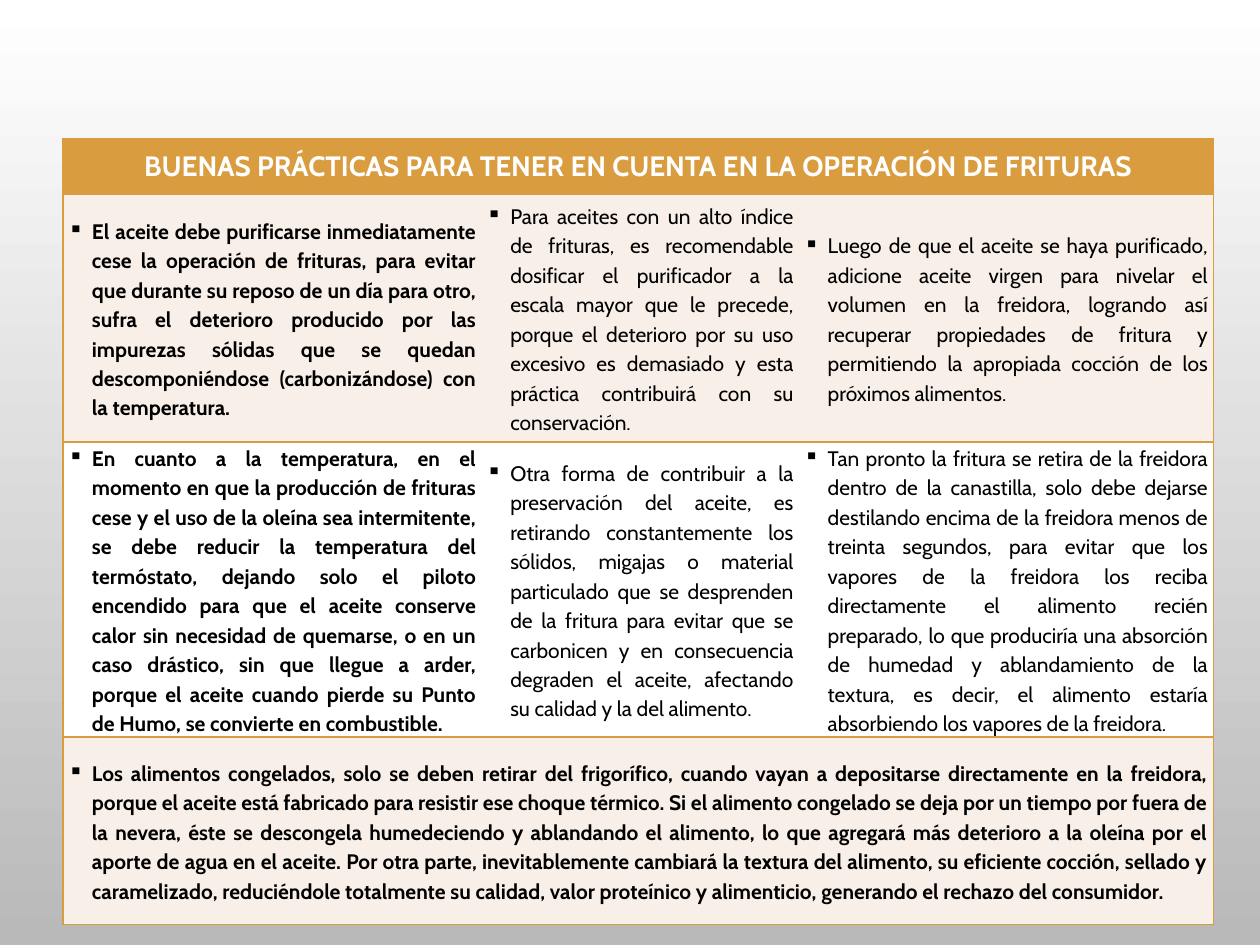
import lxml.etree
import pptx
import pptx.dml.color
import pptx.enum.text
import pptx.oxml.ns
import pptx.util

ALIGN = pptx.enum.text.PP_ALIGN
ORANGE, CREAM, WHITE, BLACK = "D99C3F", "F8EFE8", "FFFFFF", "000000"
SLIDE_WIDTH, SLIDE_HEIGHT = 10, 7.5
TABLE_BOX = (0.5, 1.1, 9.13, 6.24)
COLUMN_WIDTHS = (3.32, 2.52, 3.29)
ROW_HEIGHTS = (0.44, 1.97, 2.34, 1.49)
INDENT = 0.19

TITLE = "BUENAS PRÁCTICAS PARA TENER EN CUENTA EN LA OPERACIÓN DE FRITURAS"
PRACTICES = (
    (
        "El aceite debe purificarse inmediatamente cese la operación de frituras, para evitar que "
        "durante su reposo de un día para otro, sufra el deterioro producido por las impurezas sólidas "
        "que se quedan descomponiéndose (carbonizándose) con la temperatura.",
        "Para aceites con un alto índice de frituras, es recomendable dosificar el purificador a la "
        "escala mayor que le precede, porque el deterioro por su uso excesivo es demasiado y esta "
        "práctica contribuirá con su conservación.",
        "Luego de que el aceite se haya purificado, adicione aceite virgen para nivelar el volumen en "
        "la freidora, logrando así recuperar propiedades de fritura y permitiendo la apropiada cocción "
        "de los próximos alimentos.",
    ),
    (
        "En cuanto a la temperatura, en el momento en que la producción de frituras cese y el uso de la "
        "oleína sea intermitente, se debe reducir la temperatura del termóstato, dejando solo el piloto "
        "encendido para que el aceite conserve calor sin necesidad de quemarse, o en un caso drástico, "
        "sin que llegue a arder, porque el aceite cuando pierde su Punto de Humo, se convierte en "
        "combustible.",
        "Otra forma de contribuir a la preservación del aceite, es retirando constantemente los sólidos, "
        "migajas o material particulado que se desprenden de la fritura para evitar que se carbonicen y "
        "en consecuencia degraden el aceite, afectando su calidad y la del alimento.",
        "Tan pronto la fritura se retira de la freidora dentro de la canastilla, solo debe dejarse "
        "destilando encima de la freidora menos de treinta segundos, para evitar que los vapores de la "
        "freidora los reciba directamente el alimento recién preparado, lo que produciría una absorción "
        "de humedad y ablandamiento de la textura, es decir, el alimento estaría absorbiendo los vapores "
        "de la freidora.",
    ),
)
FROZEN_FOOD = (
    "Los alimentos congelados, solo se deben retirar del frigorífico, cuando vayan a depositarse "
    "directamente en la freidora, porque el aceite está fabricado para resistir ese choque térmico. Si "
    "el alimento congelado se deja por un tiempo por fuera de la nevera, éste se descongela "
    "humedeciendo y ablandando el alimento, lo que agregará más deterioro a la oleína por el aporte de "
    "agua en el aceite. Por otra parte, inevitablemente cambiará la textura del alimento, su eficiente "
    "cocción, sellado y caramelizado, reduciéndole totalmente su calidad, valor proteínico y "
    "alimenticio, generando el rechazo del consumidor."
)


def color(value):
    """Turn a hex string into a colour."""
    return pptx.dml.color.RGBColor.from_string(value)


def add_element(parent, tag, **attributes):
    """Append a drawing element to its parent."""
    return lxml.etree.SubElement(parent, pptx.oxml.ns.qn(tag), attributes)


def write_text(cell, text, size=12, bold=False, fill=BLACK, align=ALIGN.JUSTIFY, bullet=None):
    """Write one formatted paragraph into a cell."""
    paragraph = cell.text_frame.paragraphs[0]
    paragraph.alignment = align
    if bullet:
        properties = paragraph._p.get_or_add_pPr()
        properties.set("marL", str(pptx.util.Inches(INDENT)))
        properties.set("indent", str(-pptx.util.Inches(INDENT)))
        add_element(properties, "a:buChar", char=bullet)
        paragraph.line_spacing = 1.15
        paragraph.space_after = pptx.util.Pt(10)
    run = paragraph.add_run()
    run.text = text
    run.font.name = "Cabin"
    run.font.size = pptx.util.Pt(size)
    run.font.bold = bold
    run.font.color.rgb = color(fill)


def format_cell(cell, fill, left, right):
    """Set the margins, outer borders and fill of a cell."""
    cell.margin_left = cell.margin_right = pptx.util.Inches(0.04)
    cell.margin_top = cell.margin_bottom = 0
    cell.vertical_anchor = pptx.enum.text.MSO_ANCHOR.MIDDLE
    properties = cell._tc.get_or_add_tcPr()
    for side, visible in (("L", left), ("R", right), ("T", True), ("B", True)):
        line = add_element(properties, f"a:ln{side}", w=str(pptx.util.Pt(1)))
        if visible:
            add_element(add_element(line, "a:solidFill"), "a:srgbClr", val=ORANGE)
        else:
            add_element(line, "a:noFill")
    cell.fill.solid()
    cell.fill.fore_color.rgb = color(fill)


def add_practices_table(slide, box):
    """Place the table of good frying practices in its box."""
    lengths = [pptx.util.Inches(length) for length in box]
    frame = slide.shapes.add_table(len(ROW_HEIGHTS), len(COLUMN_WIDTHS), *lengths)
    table = frame.table
    table.first_row = table.horz_banding = False
    for column, width in zip(table.columns, COLUMN_WIDTHS):
        column.width = pptx.util.Inches(box[2] * width / sum(COLUMN_WIDTHS))
    for row, height in zip(table.rows, ROW_HEIGHTS):
        row.height = pptx.util.Inches(box[3] * height / sum(ROW_HEIGHTS))

    last_row, last_column = len(ROW_HEIGHTS) - 1, len(COLUMN_WIDTHS) - 1
    for row in (0, last_row):
        table.cell(row, 0).merge(table.cell(row, last_column))
    for row, fill in enumerate((ORANGE, CREAM, WHITE, CREAM)):
        for column in range(last_column + 1):
            cell = table.cell(row, column)
            right = column == last_column or cell.is_merge_origin
            format_cell(cell, fill, column == 0, right)

    write_text(table.cell(0, 0), TITLE, size=16, bold=True, fill=WHITE, align=ALIGN.CENTER)
    for row, texts in enumerate((*PRACTICES, (FROZEN_FOOD,)), start=1):
        for column, text in enumerate(texts):
            write_text(table.cell(row, column), text, bold=column == 0, bullet="▪")


def set_background(slide, top, bottom):
    """Shade the slide from its top colour to its bottom colour."""
    fill = slide.background.fill
    fill.gradient()
    fill.gradient_angle = 270
    for stop, value in zip(fill.gradient_stops, (top, bottom)):
        stop.color.rgb = color(value)


def main():
    """Build and save the presentation."""
    presentation = pptx.Presentation()
    presentation.slide_width = pptx.util.Inches(SLIDE_WIDTH)
    presentation.slide_height = pptx.util.Inches(SLIDE_HEIGHT)
    slide = presentation.slides.add_slide(presentation.slide_layouts[6])
    set_background(slide, WHITE, "B9B9B9")
    add_practices_table(slide, TABLE_BOX)
    presentation.save("out.pptx")


if __name__ == "__main__":
    main()
